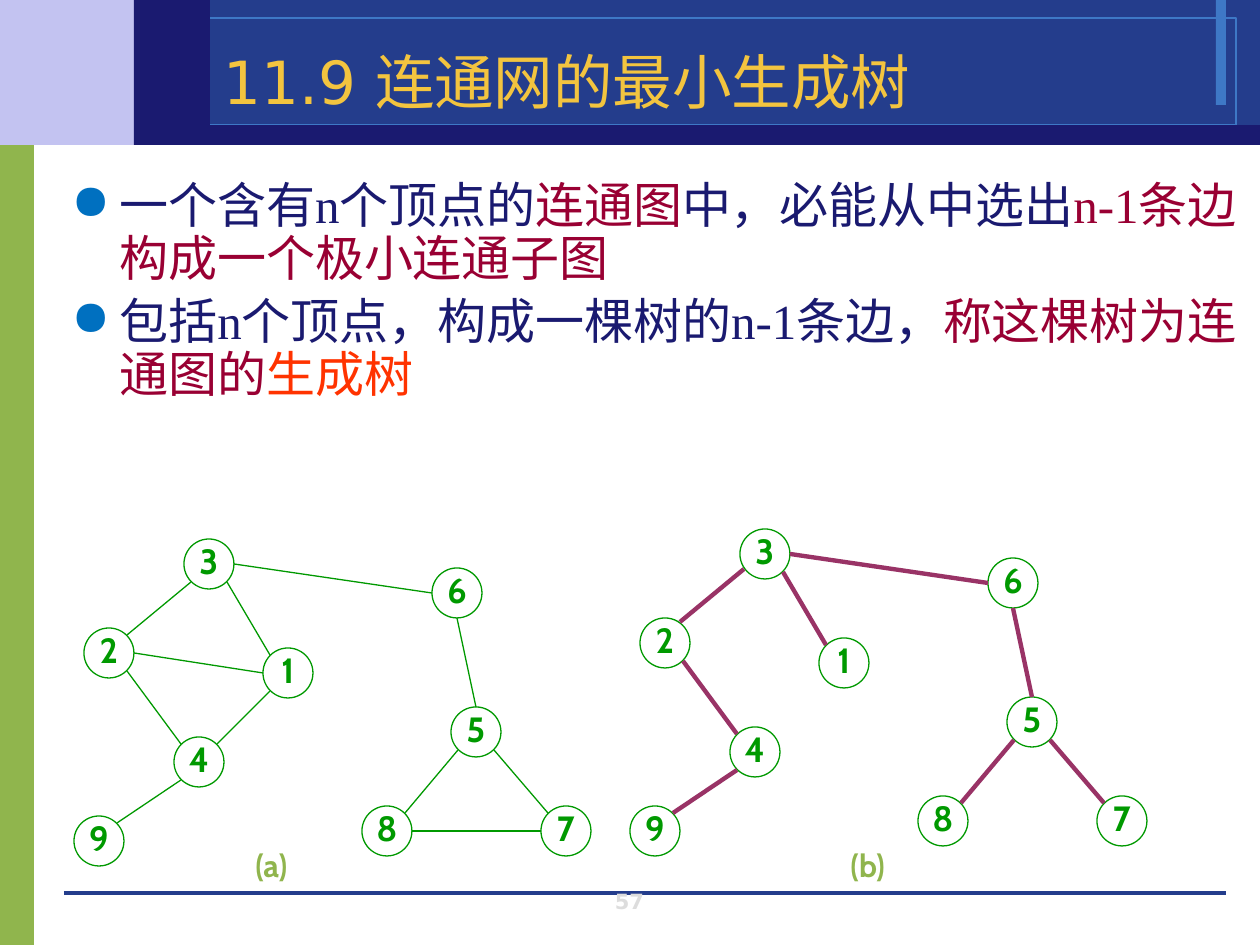
from lxml import etree
from pptx import Presentation
from pptx.dml.color import RGBColor
from pptx.enum.shapes import MSO_CONNECTOR, MSO_SHAPE
from pptx.enum.text import MSO_ANCHOR, PP_ALIGN
from pptx.oxml.ns import qn
from pptx.util import Pt

LINE = MSO_CONNECTOR.STRAIGHT
RECTANGLE, OVAL = MSO_SHAPE.RECTANGLE, MSO_SHAPE.OVAL
TOP, MIDDLE, BOTTOM = MSO_ANCHOR.TOP, MSO_ANCHOR.MIDDLE, MSO_ANCHOR.BOTTOM
LEFT, CENTER = PP_ALIGN.LEFT, PP_ALIGN.CENTER

SCALE = 914400 / 126
COLORS = {
    "white": "FFFFFF", "leaf": "90B54D", "lilac": "C3C3F1", "blue": "243D8C",
    "sky": "3E78C6", "navy": "1A1A70", "gold": "F3C43F", "gray": "DDDDDD",
    "bullet": "0070C0", "crimson": "990033", "orange": "FF3300",
    "green": "009900", "plum": "993366",
}
BANDS = [
    (0, 135, 34, 810, "leaf", None),
    (0, 0, 193, 145, "lilac", None),
    (193, 0, 1067, 145, "blue", None),
    (1216, 0, 10, 105, "sky", None),
    (150, 18, 1086, 107, None, "sky"),
    (164, 125, 1096, 20, "navy", None),
    (134, 0, 76, 145, "navy", None),
]
BODY = [
    [("一个含有n个顶点的", "navy"), ("连通图", "crimson"),
     ("中，必能从中选出", "navy"), ("n-1条边构成一个极小连通子图", "crimson")],
    [("包括n个顶点，构成一棵树的n-1条边，", "navy"),
     ("称这棵树为连通图的", "crimson"), ("生成树", "orange")],
]
NODE_SIZE = 50
NODES = {1: (263, 648), 2: (84, 628), 4: (174, 737), 9: (74, 816), 8: (362, 806),
         7: (541, 806), 5: (451, 707), 6: (432, 568), 3: (184, 539)}
SITES = {"n": (25, 0), "s": (25, 50), "w": (0, 25), "e": (50, 25),
         "nw": (7, 7), "ne": (43, 7), "sw": (7, 43), "se": (43, 43)}
TREE_EDGES = [
    (3, "sw", 2, "ne"), (3, "se", 1, "nw"), (2, "se", 4, "nw"), (4, "sw", 9, "ne"),
    (5, "sw", 8, "ne"), (5, "se", 7, "nw"), (6, "s", 5, "n"), (3, "e", 6, "w"),
]
CYCLE_EDGES = [(1, "sw", 4, "ne"), (1, "w", 2, "e"), (8, "e", 7, "w")]


def px(value):
    return round(value * SCALE)


def rgb(name):
    return RGBColor.from_string(COLORS[name])


def add_shape(shapes, kind, left, top, width, height, fill=None, line=None, weight=0):
    shape = shapes.add_shape(kind, px(left), px(top), px(width), px(height))
    shape.shadow.inherit = False
    if fill:
        shape.fill.solid()
        shape.fill.fore_color.rgb = rgb(fill)
    else:
        shape.fill.background()
    if line:
        shape.line.color.rgb = rgb(line)
        shape.line.width = Pt(weight)
    else:
        shape.line.fill.background()
    return shape


def add_line(shapes, start, end, color, weight):
    line = shapes.add_connector(LINE, *(px(value) for value in (*start, *end)))
    line.line.color.rgb = rgb(color)
    line.line.width = Pt(weight)
    etree.SubElement(line._element.spPr, qn("a:effectLst"))


def add_bullet(para, char, color, indent):
    properties = para._p.get_or_add_pPr()
    properties.set("marL", str(px(indent)))
    properties.set("indent", str(-px(indent)))
    bullet_color = etree.SubElement(properties, qn("a:buClr"))
    etree.SubElement(bullet_color, qn("a:srgbClr"), val=COLORS[color])
    etree.SubElement(properties, qn("a:buChar"), char=char)


def write_text(box, paragraphs, font, size, bold=False, align=LEFT, anchor=TOP,
               spacing=None, gap=0, wrap=True, bullet=None):
    frame = box.text_frame
    frame.word_wrap = wrap
    frame.vertical_anchor = anchor
    for index, spans in enumerate(paragraphs):
        para = frame.add_paragraph() if index else frame.paragraphs[0]
        para.alignment = align
        para.line_spacing = spacing
        para.space_before = Pt(gap if index else 0)
        if bullet:
            add_bullet(para, bullet, "bullet", 48)
        for text, color in spans:
            span = para.add_run()
            span.text = text
            span.font.name = font
            span.font.size = Pt(size)
            span.font.bold = bold
            span.font.color.rgb = rgb(color)


def add_text(page, left, top, width, height, paragraphs, **style):
    box = page.shapes.add_textbox(px(left), px(top), px(width), px(height))
    write_text(box, paragraphs, **style)


def add_graph(page, edges, color, weight, shift=(0, 0), nudges=None):
    group = page.shapes.add_group_shape()
    spots = {name: (x + shift[0], y + shift[1]) for name, (x, y) in NODES.items()}
    for name, (left, top) in spots.items():
        node = add_shape(group.shapes, OVAL, left, top, NODE_SIZE, NODE_SIZE,
                         "white", "green", 0.75)
        write_text(node, [[(str(name), "green")]], font="Cabin", size=20, bold=True,
                   align=CENTER, anchor=MIDDLE, spacing=0.8, wrap=False)
    for first, first_site, last, last_site in edges:
        nudge = (nudges or {}).get((first, last), 0)
        ends = [[spots[name][axis] + SITES[site][axis] + nudge for axis in (0, 1)]
                for name, site in ((first, first_site), (last, last_site))]
        add_line(group.shapes, *ends, color, weight)


def main():
    deck = Presentation()
    deck.slide_width, deck.slide_height = px(1260), px(945)
    page = deck.slides.add_slide(deck.slide_layouts[6])

    for left, top, width, height, fill, line in BANDS:
        add_shape(page.shapes, RECTANGLE, left, top, width, height, fill, line)
    add_line(page.shapes, (64, 893), (1226, 893), "blue", 0)

    add_text(page, 483, 888, 293, 32, [[("57", "gray")]], font="DejaVu Sans",
             size=12, bold=True, align=CENTER, anchor=BOTTOM)
    add_text(page, 0, 35, 1134, 88, [[("11.9 连通网的最小生成树", "gold")]],
             font="DejaVu Sans", size=34, align=CENTER, anchor=BOTTOM)
    add_text(page, 59, 175, 1201, 348, BODY, font="Times New Roman", size=28,
             spacing=0.9, gap=6, bullet="●")

    add_graph(page, TREE_EDGES + CYCLE_EDGES, "green", 0.75)
    add_graph(page, TREE_EDGES, "plum", 2.5, shift=(556, -10), nudges={(3, 2): -3})
    for left, label in ((243, "(a)"), (838, "(b)")):
        add_text(page, left, 847, 89, 43, [[(label, "leaf")]], font="Cabin",
                 size=18, bold=True, spacing=0.8)

    deck.save("out.pptx")


if __name__ == "__main__":
    main()
